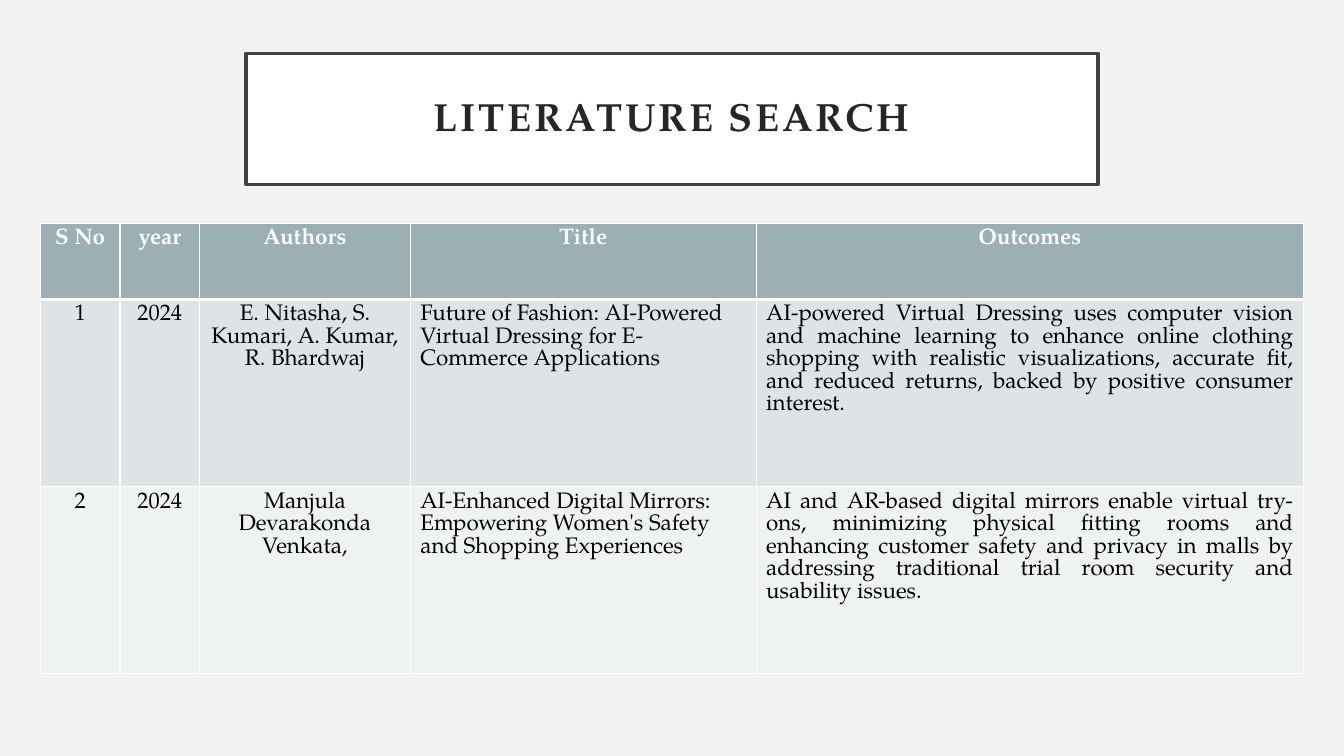
from lxml.etree import SubElement
from pptx import Presentation
from pptx.dml.color import RGBColor
from pptx.enum.shapes import MSO_SHAPE
from pptx.enum.text import MSO_ANCHOR, PP_ALIGN
from pptx.oxml.ns import qn
from pptx.util import Inches, Pt

COLORS = {
    "background": "F2F2F2",
    "white": "FFFFFF",
    "frame": "404040",
    "title": "262626",
    "header": "9BAFB5",
    "odd_row": "DEE3E5",
    "even_row": "EFF2F3",
    "body": "000000",
}
COLUMN_WIDTHS = [0.79, 0.79, 2.09, 3.43, 5.43]
ROW_HEIGHTS = [0.75, 1.86, 1.85]
BODY_ALIGNMENTS = [PP_ALIGN.CENTER] * 3 + [PP_ALIGN.LEFT, PP_ALIGN.JUSTIFY]
PAPERS = [
    ["S No", "year", "Authors", "Title", "Outcomes"],
    [
        "1",
        "2024",
        "E. Nitasha, S. Kumari, A. Kumar, R. Bhardwaj",
        "Future of Fashion: AI-Powered Virtual Dressing for E-Commerce Applications",
        "AI-powered Virtual Dressing uses computer vision and machine learning to "
        "enhance online clothing shopping with realistic visualizations, accurate "
        "fit, and reduced returns, backed by positive consumer interest.",
    ],
    [
        "2",
        "2024",
        "Manjula Devarakonda Venkata,",
        "AI-Enhanced Digital Mirrors: Empowering Women's Safety and Shopping Experiences",
        "AI and AR-based digital mirrors enable virtual try-ons, minimizing physical "
        "fitting rooms and enhancing customer safety and privacy in malls by "
        "addressing traditional trial room security and usability issues.",
    ],
]


def rgb(name):
    return RGBColor.from_string(COLORS[name])


def set_all(target, values):
    for name, value in values.items():
        setattr(target, name, value)


class SlideBuilder:
    font_name = "TeX Gyre Pagella"

    def __init__(self, slide):
        self.slide = slide

    def background(self, color):
        fill = self.slide.background.fill
        fill.solid()
        fill.fore_color.rgb = rgb(color)

    def text(self, frame, text, size, color, bold, alignment):
        paragraph = frame.paragraphs[0]
        paragraph.alignment = alignment
        run = paragraph.add_run()
        run.text = text
        set_all(run.font, {"name": self.font_name, "size": Pt(size), "bold": bold})
        run.font.color.rgb = rgb(color)
        return paragraph, run

    def title(self, text, left, top, width, height):
        shape = self.slide.shapes.add_shape(
            MSO_SHAPE.RECTANGLE, Inches(left), Inches(top), Inches(width), Inches(height)
        )
        shape.shadow.inherit = False
        shape.fill.solid()
        shape.fill.fore_color.rgb = rgb("white")
        shape.line.color.rgb = rgb("frame")
        shape.line.width = Pt(2.5)
        margins = {f"margin_{side}": Inches(0.2) for side in ("left", "top", "right", "bottom")}
        set_all(
            shape.text_frame,
            {"word_wrap": True, "vertical_anchor": MSO_ANCHOR.MIDDLE, **margins},
        )
        paragraph, run = self.text(shape.text_frame, text, 28, "title", True, PP_ALIGN.CENTER)
        paragraph.line_spacing = 0.9
        run.font._element.set("spc", "200")

    def borders(self, cell, widths):
        properties = cell._tc.get_or_add_tcPr()
        for side, width in widths.items():
            line = SubElement(properties, qn(f"a:ln{side}"), w=str(Pt(width)))
            fill = SubElement(line, qn("a:solidFill"))
            SubElement(fill, qn("a:srgbClr"), val=COLORS["white"])

    def table(self, rows, left, top):
        table = self.slide.shapes.add_table(
            len(rows), len(COLUMN_WIDTHS), Inches(left), Inches(top),
            Inches(sum(COLUMN_WIDTHS)), Inches(sum(ROW_HEIGHTS)),
        ).table
        for column, width in zip(table.columns, COLUMN_WIDTHS):
            column.width = Inches(width)
        for row, height in zip(table.rows, ROW_HEIGHTS):
            row.height = Inches(height)
        for row_index, row in enumerate(rows):
            header = row_index == 0
            color = "header" if header else ("even_row", "odd_row")[row_index % 2]
            widths = {
                "L": 1,
                "R": 1,
                "T": 3 if row_index == 1 else 1,
                "B": 3 if header else 1,
            }
            for column_index, text in enumerate(row):
                cell = table.cell(row_index, column_index)
                self.borders(cell, widths)
                cell.fill.solid()
                cell.fill.fore_color.rgb = rgb(color)
                alignment = PP_ALIGN.CENTER if header else BODY_ALIGNMENTS[column_index]
                self.text(
                    cell.text_frame, text, 16, "white" if header else "body", header, alignment
                )


def main():
    presentation = Presentation()
    set_all(presentation, {"slide_width": Inches(13.33), "slide_height": Inches(7.5)})
    builder = SlideBuilder(presentation.slides.add_slide(presentation.slide_layouts[6]))
    builder.background("background")
    builder.title("LITERATURE SEARCH", 2.44, 0.53, 8.45, 1.3)
    builder.table(PAPERS, 0.4, 2.22)
    presentation.save("out.pptx")


if __name__ == "__main__":
    main()
